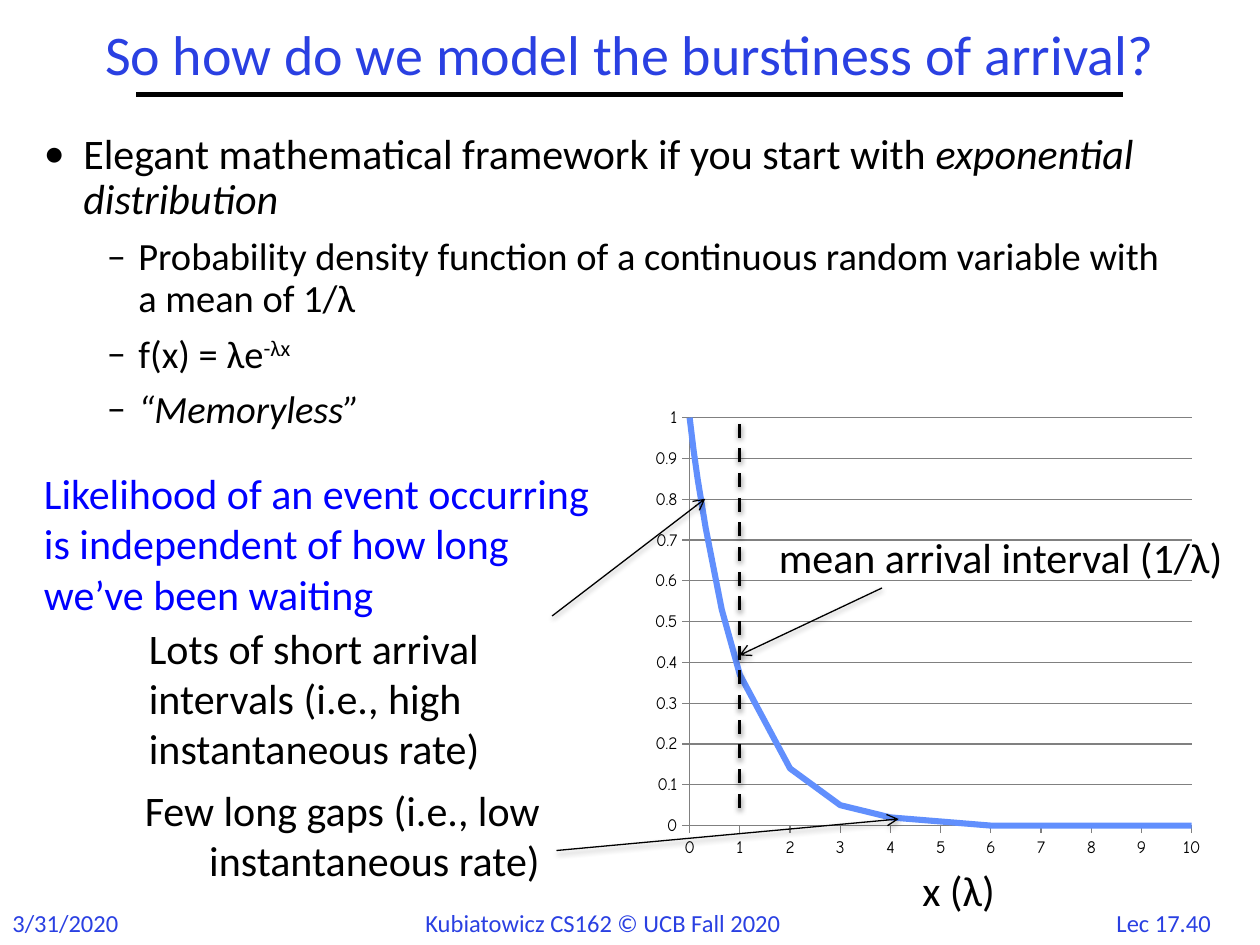
from dataclasses import dataclass
from math import exp

from lxml import etree
from pptx import Presentation
from pptx.chart.data import XyChartData
from pptx.dml.color import RGBColor
from pptx.enum.chart import XL_CHART_TYPE, XL_TICK_MARK
from pptx.enum.dml import MSO_LINE
from pptx.enum.shapes import MSO_CONNECTOR
from pptx.enum.text import MSO_ANCHOR, MSO_AUTO_SIZE, PP_ALIGN
from pptx.oxml import parse_xml
from pptx.oxml.ns import nsdecls, qn
from pptx.slide import Slide
from pptx.util import Pt

LEFT, CENTER, RIGHT = PP_ALIGN.LEFT, PP_ALIGN.CENTER, PP_ALIGN.RIGHT
TOP, MIDDLE = MSO_ANCHOR.TOP, MSO_ANCHOR.MIDDLE
SCATTER = XL_CHART_TYPE.XY_SCATTER_LINES_NO_MARKERS


@dataclass(frozen=True)
class Theme:
    font: str = "Calibri"
    chart_font: str = "Comic Neue"
    ink: RGBColor = RGBColor(0x00, 0x00, 0x00)
    accent: RGBColor = RGBColor(0x2A, 0x40, 0xE2)
    emphasis: RGBColor = RGBColor(0x00, 0x00, 0xFF)
    curve: RGBColor = RGBColor(0x61, 0x8F, 0xFD)
    grid: RGBColor = RGBColor(0x80, 0x80, 0x80)
    title_size: float = 32
    body_size: float = 24
    sub_size: float = 22
    footer_size: float = 14
    chart_size: float = 10


THEME = Theme()


@dataclass(frozen=True)
class Label:
    text: str
    box: tuple[float, float, float, float]
    size: float = THEME.body_size
    color: RGBColor = THEME.ink
    align: PP_ALIGN = LEFT
    anchor: MSO_ANCHOR = TOP
    wrap: bool = True
    line_spacing: float = 1.0


@dataclass(frozen=True)
class Line:
    start: tuple[float, float]
    end: tuple[float, float]
    width: float = 0.75
    arrow: bool = True
    dashed: bool = False
    shadow: bool = True


@dataclass(frozen=True)
class Fragment:
    text: str
    italic: bool = False
    superscript: bool = False


@dataclass(frozen=True)
class Bullet:
    fragments: tuple[Fragment, ...]
    level: int = 1


@dataclass(frozen=True)
class BulletStyle:
    mark: str
    margin: float
    hanging: float
    size: float


BULLET_STYLES = (
    BulletStyle("•", 22.5, 22.5, THEME.body_size),
    BulletStyle("–", 54, 18, THEME.sub_size),
)
BULLETS = (
    Bullet((Fragment("Elegant mathematical framework if you start with "),
            Fragment("exponential distribution", italic=True)), level=0),
    Bullet((Fragment("Probability density function of a continuous random "
                     "variable with a mean of 1/λ"),)),
    Bullet((Fragment("f(x) = λe"), Fragment("-λx", superscript=True))),
    Bullet((Fragment("“Memoryless”", italic=True),)),
)
LABELS = (
    Label("So how do we model the burstiness of arrival?", (26, 12, 668, 42),
          THEME.title_size, THEME.accent, CENTER, MIDDLE, line_spacing=0.9),
    Label("Likelihood of an event occurring is independent of how long "
          "we’ve been waiting", (18, 263.5, 336, 94), color=THEME.emphasis),
    Label("Lots of short arrival intervals (i.e., high instantaneous rate)",
          (78, 352, 291, 94)),
    Label("Few long gaps (i.e., low instantaneous rate)",
          (44, 444.5, 271.5, 65.5), align=RIGHT),
    Label("x (λ)", (520, 490.5, 60.5, 36), wrap=False),
    Label("mean arrival interval (1/λ)", (438, 300, 274, 36), wrap=False),
)
FOOTERS = (
    ("3/31/2020", (0, 515.5, 77, 24.5), LEFT),
    ("Kubiatowicz CS162 © UCB Fall 2020", (236, 515.5, 247, 24.5), LEFT),
    ("Lec 17.40", (628, 515.5, 74, 24), CENTER),
)
LINES = (
    Line((78, 54), (642, 54), width=3, arrow=False, shadow=False),
    Line((403, 285), (315.5, 352)),
    Line((513.5, 468), (318, 486)),
    Line((422.5, 461.5), (422.5, 240), width=2, arrow=False, dashed=True),
    Line((422.5, 374.5), (504, 336)),
)
SAMPLES = (0, 0.01, 0.02, 0.04, 0.08, 0.16, 0.32, 0.64,
           1, 2, 3, 4, 5, 6, 7, 8, 10)


def add_label(slide: Slide, label: Label) -> None:
    shape = slide.shapes.add_textbox(*map(Pt, label.box))
    frame = shape.text_frame
    frame.text = label.text
    frame.word_wrap = label.wrap
    frame.vertical_anchor = label.anchor
    frame.auto_size = MSO_AUTO_SIZE.NONE if label.anchor == MIDDLE else MSO_AUTO_SIZE.SHAPE_TO_FIT_TEXT
    paragraph = frame.paragraphs[0]
    paragraph.alignment = label.align
    paragraph.line_spacing = label.line_spacing
    font = paragraph.runs[0].font
    font.name, font.size = THEME.font, Pt(label.size)
    font.color.rgb = label.color


def add_bullets(slide: Slide, bullets: tuple[Bullet, ...]) -> None:
    frame = slide.shapes.add_textbox(Pt(18), Pt(72.5), Pt(666), Pt(410)).text_frame
    frame.word_wrap = True
    for index, bullet in enumerate(bullets):
        paragraph = frame.add_paragraph() if index else frame.paragraphs[0]
        style = BULLET_STYLES[bullet.level]
        paragraph.level = bullet.level
        paragraph.line_spacing = 0.9
        paragraph.space_before = Pt(8 if index else 0)
        properties = paragraph._p.get_or_add_pPr()
        properties.set("marL", str(Pt(style.margin)))
        properties.set("indent", str(-Pt(style.hanging)))
        etree.SubElement(properties, qn("a:buFont")).set("typeface", THEME.font)
        etree.SubElement(properties, qn("a:buChar")).set("char", style.mark)
        for fragment in bullet.fragments:
            run = paragraph.add_run()
            run.text = fragment.text
            run.font.name, run.font.size = THEME.font, Pt(style.size)
            run.font.italic = fragment.italic
            run.font.color.rgb = THEME.ink
            if fragment.superscript:
                run.font._element.set("baseline", "30000")


def add_line(slide: Slide, line: Line) -> None:
    connector = slide.shapes.add_connector(
        MSO_CONNECTOR.STRAIGHT, *map(Pt, line.start + line.end))
    connector.line.width = Pt(line.width)
    connector.line.color.rgb = THEME.ink
    if line.dashed:
        connector.line.dash_style = MSO_LINE.DASH
    properties = connector._element.spPr
    if line.arrow:
        etree.SubElement(properties.find(qn("a:ln")), qn("a:headEnd")).set("type", "arrow")
    shadow = (f'<a:outerShdw blurRad="{Pt(3.1)}" dist="{Pt(1.6)}" dir="5400000" '
              f'rotWithShape="0"><a:srgbClr val="{THEME.ink}"><a:alpha val="38000"/>'
              '</a:srgbClr></a:outerShdw>') if line.shadow else ""
    properties.append(parse_xml(f'<a:effectLst {nsdecls("a")}>{shadow}</a:effectLst>'))


def add_density_chart(slide: Slide) -> None:
    data = XyChartData()
    points = data.add_series("Series 1")
    for x in SAMPLES:
        points.add_data_point(x, round(exp(-x), 2))
    chart = slide.shapes.add_chart(SCATTER, Pt(368), Pt(228), Pt(326), Pt(268), data).chart
    chart.has_legend = chart.has_title = False
    chart.font.name, chart.font.size = THEME.chart_font, Pt(THEME.chart_size)
    chart.font.color.rgb = THEME.ink
    for axis, maximum, step in ((chart.category_axis, 10, 1), (chart.value_axis, 1, 0.1)):
        axis.minimum_scale, axis.maximum_scale, axis.major_unit = 0, maximum, step
        axis.major_tick_mark, axis.minor_tick_mark = XL_TICK_MARK.OUTSIDE, XL_TICK_MARK.NONE
        axis.tick_labels.number_format = "General"
        axis.tick_labels.number_format_is_linked = False
        axis.format.line.color.rgb = THEME.grid
    chart.category_axis.has_major_gridlines = False
    chart.value_axis.has_major_gridlines = True
    chart.value_axis.major_gridlines.format.line.color.rgb = THEME.grid
    plot = chart.plots[0]
    plot.vary_by_categories = False
    series = plot.series[0]
    series.smooth = False
    series.format.line.width = Pt(3.5)
    series.format.line.color.rgb = THEME.curve
    area = chart._chartSpace.chart.plotArea
    for layout in area.findall(qn("c:layout")):
        area.remove(layout)
    area.insert(0, parse_xml(
        f'<c:layout {nsdecls("c")}><c:manualLayout><c:layoutTarget val="inner"/>'
        '<c:xMode val="edge"/><c:yMode val="edge"/><c:x val="0.08"/><c:y val="0.04"/>'
        '<c:w val="0.88"/><c:h val="0.87"/></c:manualLayout></c:layout>'))


def main() -> None:
    presentation = Presentation()
    presentation.slide_width, presentation.slide_height = Pt(720), Pt(540)
    slide = presentation.slides.add_slide(presentation.slide_layouts[6])
    for text, box, align in FOOTERS:
        add_label(slide, Label(text, box, THEME.footer_size, THEME.accent, align, wrap=False))
    add_bullets(slide, BULLETS)
    add_density_chart(slide)
    for label in LABELS:
        add_label(slide, label)
    for line in LINES:
        add_line(slide, line)
    presentation.save("out.pptx")


if __name__ == "__main__":
    main()
